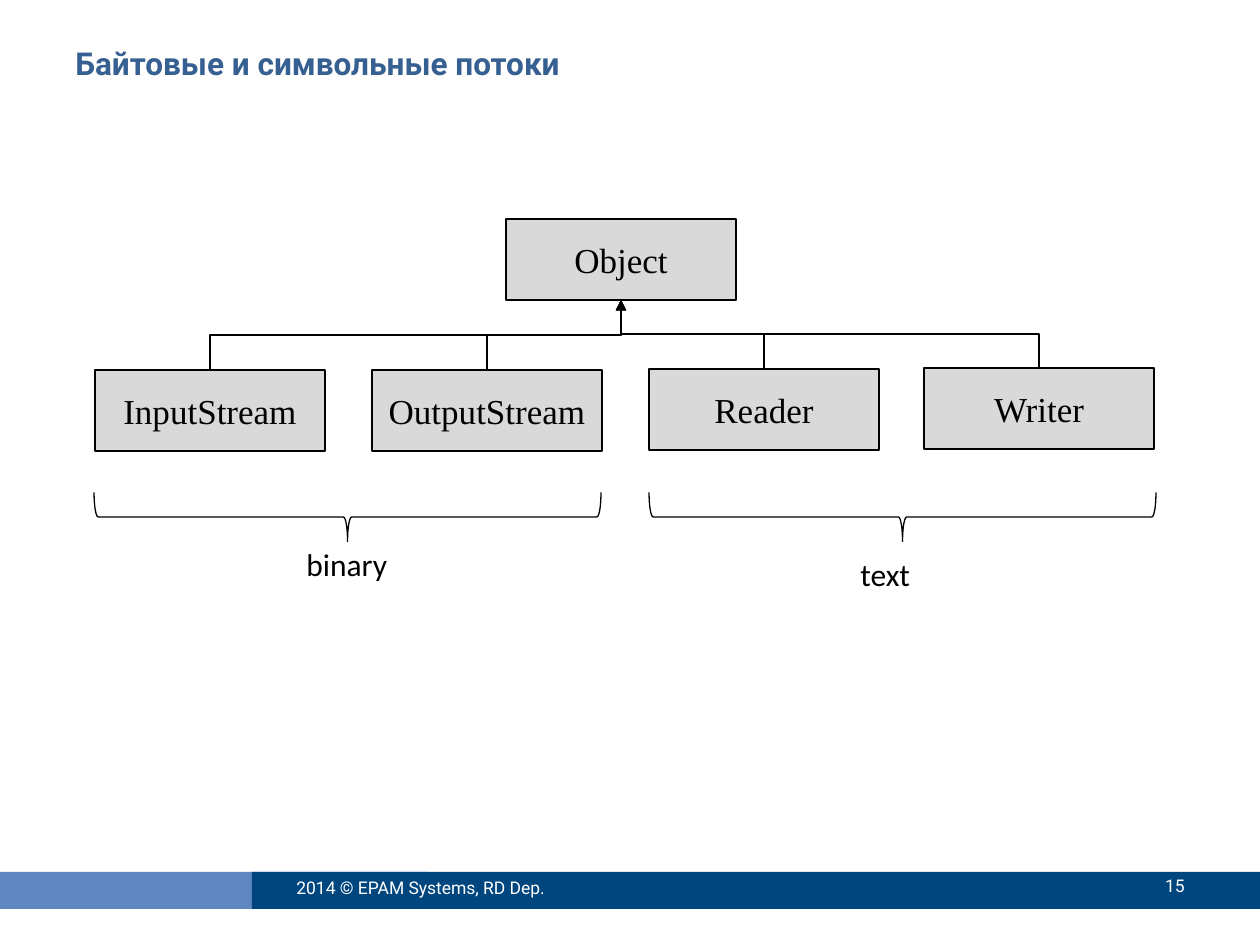
from dataclasses import dataclass

import lxml.etree
import pptx
import pptx.dml.color
import pptx.enum.shapes
import pptx.enum.text
import pptx.oxml.ns
import pptx.util

SHAPE = pptx.enum.shapes.MSO_SHAPE
ALIGN = pptx.enum.text.PP_ALIGN
ANCHOR = pptx.enum.text.MSO_ANCHOR


@dataclass(frozen=True)
class Theme:
    heading: str = "376092"
    light_band: str = "6087BF"
    dark_band: str = "00467E"
    box_fill: str = "D9D9D9"
    ink: str = "000000"
    paper: str = "FFFFFF"
    ui_font: str = "Roboto"
    class_font: str = "Times New Roman"
    label_font: str = "Calibri"
    heading_size: int = 18
    class_size: int = 20
    footer_size: int = 10
    box_line: float = 1
    thin_line: float = 0.75


THEME = Theme()
BOX_WIDTH, BOX_HEIGHT = 230, 81
PARENT_LEFT, PARENT_TOP = 506, 219
CHILDREN = [
    ("InputStream", 95, 370),
    ("OutputStream", 372, 370),
    ("Reader", 649, 369),
    ("Writer", 924, 368),
]
BRACE_MIDDLE, BRACE_DEPTH, BRACE_SPAN = 517, 49, 507


def px(length):
    return pptx.util.Emu(round(length * 914400 / 126))


def rgb(code):
    return pptx.dml.color.RGBColor.from_string(code)


def write(shape, text, font, size, color, align=ALIGN.LEFT, anchor=ANCHOR.MIDDLE, bold=False):
    frame = shape.text_frame
    frame.text = text
    frame.vertical_anchor = anchor
    para = frame.paragraphs[0]
    para.alignment = align
    span = para.runs[0].font
    span.name = font
    span.size = pptx.util.Pt(size)
    span.bold = bold
    span.color.rgb = rgb(color)


def add_text(page, area, text, font, size, color, wrap=True, **layout):
    box = page.shapes.add_textbox(*map(px, area))
    box.text_frame.word_wrap = wrap
    write(box, text, font, size, color, **layout)


def add_band(page, left, width, color):
    band = page.shapes.add_shape(SHAPE.RECTANGLE, px(left), px(872), px(width), px(37))
    band.shadow.inherit = False
    band.fill.solid()
    band.fill.fore_color.rgb = rgb(color)
    band.line.fill.background()


def set_line(shape, width):
    shape.line.color.rgb = rgb(THEME.ink)
    shape.line.width = pptx.util.Pt(width)


def add_class_box(page, name, left, top):
    box = page.shapes.add_shape(
        SHAPE.RECTANGLE, px(left), px(top), px(BOX_WIDTH), px(BOX_HEIGHT)
    )
    box.shadow.inherit = False
    box.fill.solid()
    box.fill.fore_color.rgb = rgb(THEME.box_fill)
    set_line(box, THEME.box_line)
    box.text_frame.word_wrap = False
    write(box, name, THEME.class_font, THEME.class_size, THEME.ink, ALIGN.CENTER)


def add_inheritance(page, child_left, child_top):
    parent_bottom = PARENT_TOP + BOX_HEIGHT
    middle_x = (child_left + PARENT_LEFT + BOX_WIDTH) / 2
    middle_y = (child_top + parent_bottom) / 2
    half_rise = (child_top - parent_bottom) / 2
    half_run = (child_left - PARENT_LEFT) / 2
    arrow = page.shapes.add_connector(
        pptx.enum.shapes.MSO_CONNECTOR.ELBOW,
        px(middle_x - half_rise),
        px(middle_y + half_run),
        px(middle_x + half_rise),
        px(middle_y - half_run),
    )
    set_line(arrow, THEME.thin_line)
    properties = arrow._element.spPr
    properties.find(pptx.oxml.ns.qn("a:xfrm")).set("rot", str(270 * 60000))
    line = properties.find(pptx.oxml.ns.qn("a:ln"))
    lxml.etree.SubElement(line, pptx.oxml.ns.qn("a:tailEnd"), type="triangle")
    lxml.etree.SubElement(properties, pptx.oxml.ns.qn("a:effectLst"))


def add_brace(page, left):
    middle_x = left + BRACE_SPAN / 2
    brace = page.shapes.add_shape(
        SHAPE.RIGHT_BRACE,
        px(middle_x - BRACE_DEPTH / 2),
        px(BRACE_MIDDLE - BRACE_SPAN / 2),
        px(BRACE_DEPTH),
        px(BRACE_SPAN),
    )
    brace.rotation = 90
    brace.shadow.inherit = False
    brace.fill.background()
    set_line(brace, THEME.thin_line)


def add_footer(page):
    add_band(page, -3, 432, THEME.light_band)
    add_band(page, 252, 1008, THEME.dark_band)
    style = (THEME.ui_font, THEME.footer_size, THEME.paper)
    add_text(page, (284, 863, 336, 50), "2014 © EPAM Systems, RD Dep.", *style)
    add_text(page, (1061, 861, 136, 50), "15", *style, align=ALIGN.RIGHT)


def main():
    deck = pptx.Presentation()
    deck.slide_width, deck.slide_height = px(1260), px(945)
    page = deck.slides.add_slide(deck.slide_layouts[6])

    add_footer(page)
    add_text(
        page, (63, 38, 1134, 98), "Байтовые и символьные потоки",
        THEME.ui_font, THEME.heading_size, THEME.heading, anchor=ANCHOR.TOP, bold=True,
    )
    add_class_box(page, "Object", PARENT_LEFT, PARENT_TOP)
    for name, left, top in CHILDREN:
        add_class_box(page, name, left, top)
        add_inheritance(page, left, top)
    for left in (94, 649):
        add_brace(page, left)
    for text, area in (("binary", (294, 539, 107, 50)), ("text", (848, 549, 76, 50))):
        add_text(
            page, area, text, THEME.label_font, THEME.heading_size, THEME.ink,
            wrap=False, anchor=ANCHOR.TOP,
        )
    deck.save("out.pptx")


if __name__ == "__main__":
    main()
